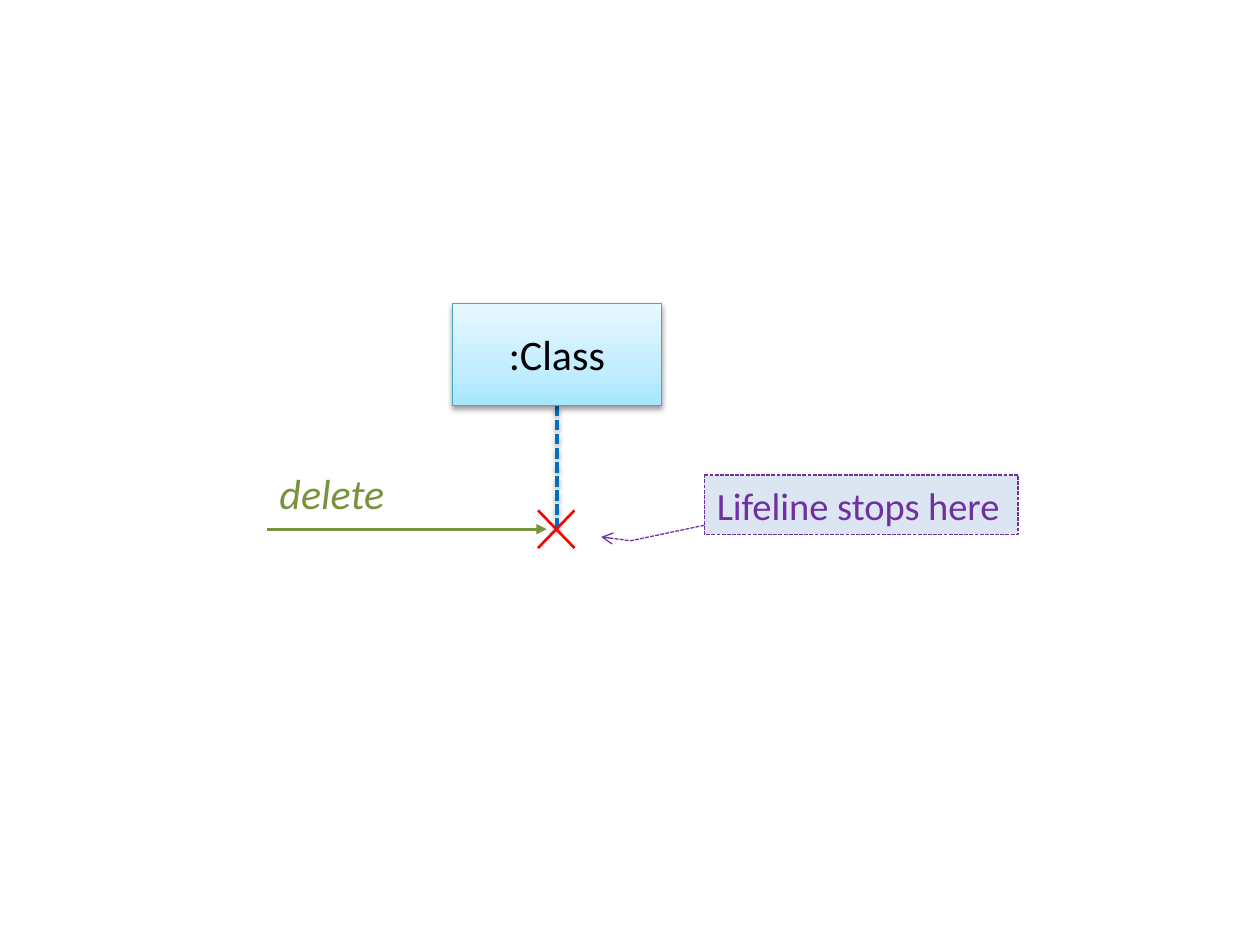
from copy import deepcopy

from lxml import etree
from pptx import Presentation
from pptx.dml.color import RGBColor
from pptx.enum.dml import MSO_LINE
from pptx.enum.shapes import MSO_CONNECTOR, MSO_SHAPE
from pptx.enum.text import MSO_ANCHOR, PP_ALIGN
from pptx.oxml.ns import qn
from pptx.util import Inches, Pt

RECT, CALLOUT = MSO_SHAPE.RECTANGLE, MSO_SHAPE.LINE_CALLOUT_2
DASH = MSO_LINE.SQUARE_DOT
LEFT, CENTER = PP_ALIGN.LEFT, PP_ALIGN.CENTER
MIDDLE = MSO_ANCHOR.MIDDLE
BOTTOM = 2

# Content: places in inches
WIDE, HIGH = 10, 7.5
CLASS = (":Class", (3.59, 2.41, 1.66, 0.81))
CALL = ("delete", (2.12, 3.66, 1.07, 0.5))
NOTE = ("Lifeline stops here", (5.59, 3.77, 2.49, 0.47))
BEND = (0.85, 0, 1.111, -0.235, 1.046, -0.329)
SHADES = [(0, "A7E6FF"), (0.35, "C1EDFF"), (1, "E7F8FF")]
STOP_Y = 4.2
CROSS = (4.27, 4.05, 4.56, 4.35)
GREEN, PURPLE, RED, BLUE = "77933C", "7030A0", "FF0000", "0070C0"


def rgb(code):
    return RGBColor.from_string(code)


def stroke(line, color, width, dash=None):
    line.color.rgb = rgb(color)
    line.width = Pt(width)
    if dash:
        line.dash_style = dash


def write(shape, text, size, color, align=LEFT, anchor=None, pad=0.05, italic=False):
    frame = shape.text_frame
    frame.word_wrap = True
    frame.vertical_anchor = anchor or MSO_ANCHOR.TOP
    frame.margin_left = frame.margin_right = Inches(0.1)
    frame.margin_top = frame.margin_bottom = Inches(pad)
    para = frame.paragraphs[0]
    para.alignment = align
    run = para.add_run()
    run.text = text
    font = run.font
    font.name, font.size, font.italic = "Calibri", Pt(size), italic
    font.color.rgb = rgb(color)


def head(shape, kind):
    line = shape.line._get_or_add_ln()
    etree.SubElement(line, qn("a:tailEnd"), type=kind)


def effects(shape, shade=False):
    props = shape._element.spPr
    for old in props.findall(qn("a:effectLst")):
        props.remove(old)
    group = etree.SubElement(props, qn("a:effectLst"))
    if shade:
        drop = etree.SubElement(group, qn("a:outerShdw"), blurRad=str(Pt(3.1)),
                                dist=str(Pt(1.6)), dir="5400000", rotWithShape="0")
        tint = etree.SubElement(drop, qn("a:srgbClr"), val="000000")
        etree.SubElement(tint, qn("a:alpha"), val="38000")


def link(shapes, ends, color, width, dash=None, shade=False):
    line = shapes.add_connector(MSO_CONNECTOR.STRAIGHT, *map(Inches, ends))
    stroke(line.line, color, width, dash)
    effects(line, shade)
    return line


def main():
    prs = Presentation()
    prs.slide_width, prs.slide_height = Inches(WIDE), Inches(HIGH)
    shapes = prs.slides.add_slide(prs.slide_layouts[6]).shapes

    # Class box and its lifeline
    text, place = CLASS
    x, y, w, h = place
    mid = x + w / 2
    life = link(shapes, (mid, y + h, mid, STOP_Y), BLUE, 2, DASH, shade=True)
    box = shapes.add_shape(RECT, *map(Inches, place))
    box.fill.gradient()
    box.fill.gradient_angle = 90
    stops = box._element.spPr.find(".//" + qn("a:gsLst"))
    stops.append(deepcopy(stops[0]))
    for stop, (spot, color) in zip(box.fill.gradient_stops, SHADES):
        stop.position = spot
        stop.color.rgb = rgb(color)
    stroke(box.line, "46AAC5", 0.75)
    effects(box, shade=True)
    write(box, text, 24, "000000", CENTER, pad=0.2)
    life.begin_connect(box, BOTTOM)

    # Delete message
    text, place = CALL
    label = shapes.add_textbox(*map(Inches, place))
    write(label, text, 24, GREEN, italic=True)
    arrow = link(shapes, (place[0], STOP_Y, 4.34, STOP_Y), GREEN, 1.5)
    head(arrow, "triangle")

    # Callout
    text, place = NOTE
    note = shapes.add_shape(CALLOUT, *map(Inches, place))
    for i, value in enumerate(BEND):
        note.adjustments[i] = value
    note.fill.solid()
    note.fill.fore_color.rgb = rgb("DCE6F2")
    stroke(note.line, PURPLE, 0.75, DASH)
    head(note, "arrow")
    note.shadow.inherit = False
    write(note, text, 22, PURPLE, anchor=MIDDLE)

    # Cross at the end of the lifeline
    x1, y1, x2, y2 = CROSS
    for ends in ((x2, y2, x1, y1), (x2, y1, x1, y2)):
        link(shapes, ends, RED, 1.5)

    prs.save("out.pptx")


if __name__ == "__main__":
    main()
